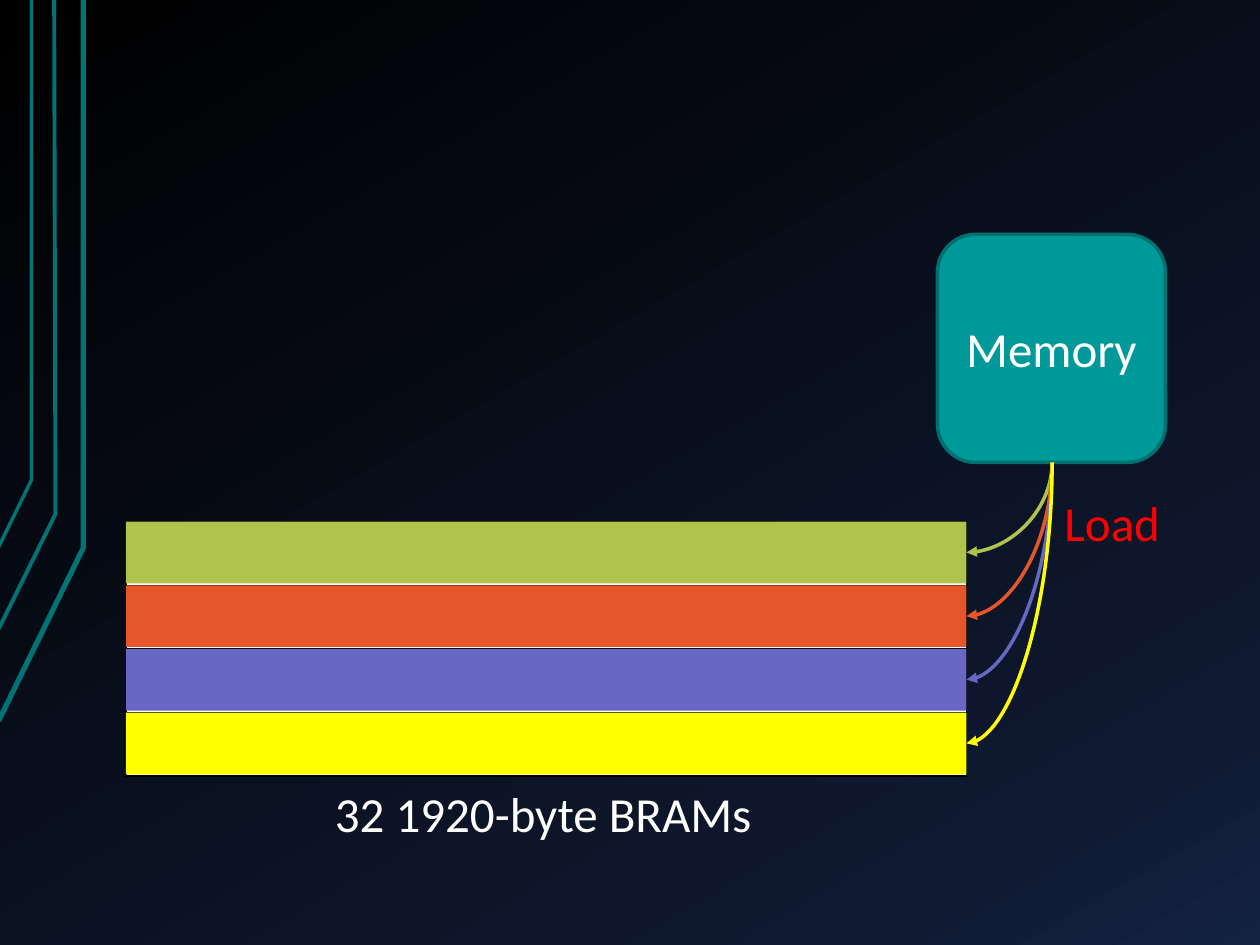
from copy import deepcopy
from pptx import Presentation
from pptx.dml.color import RGBColor
from pptx.enum.shapes import MSO_CONNECTOR, MSO_SHAPE
from pptx.enum.text import MSO_ANCHOR, MSO_AUTO_SIZE, PP_ALIGN
from pptx.oxml.ns import qn
from pptx.util import Inches, Pt
from lxml.etree import SubElement


def hue(code):
    return RGBColor.from_string(code)


def write(frame, text, code, align):
    frame.word_wrap = False
    frame.vertical_anchor = MSO_ANCHOR.MIDDLE
    line = frame.paragraphs[0]
    line.alignment = align
    run = line.add_run()
    run.text = text
    run.font.name = "Calibri"
    run.font.size = Pt(28)
    run.font.color.rgb = hue(code)


deck = Presentation()
deck.slide_width = Inches(10)
deck.slide_height = Inches(7.5)
slide = deck.slides.add_slide(deck.slide_layouts[6])
shapes = slide.shapes
col = deck.slide_width / 100
row = deck.slide_height / 75

fill = slide.background.fill
fill.gradient()
fill.gradient_angle = 300
stops = slide.element.find(".//" + qn("a:gsLst"))
stops.append(deepcopy(stops[0]))
for stop, (place, code) in zip(fill.gradient_stops, [(0, "000000"), (0.85, "0F1931"), (1, "142242")]):
    stop.position = place
    stop.color.rgb = hue(code)

for foot, bend, side, top, width in [
    (57.2, 43.5, 6.6, 6.6, 3),
    (49.9, 40.8, 4.4, 4.3, 2.25),
    (43.4, 38.1, 2.5, 2.5, 2),
]:
    pen = shapes.build_freeform(round(-0.1 * col), round(foot * row))
    pen.add_line_segments([(round(side * col), round(bend * row)), (round(top * col), 0)], close=False)
    trace = pen.convert_to_shape()
    trace.shadow.inherit = False
    trace.fill.background()
    trace.line.color.rgb = hue("007373")
    trace.line.width = Pt(width)

colors = ["AFC34D", "E5572B", "6868C4", "FFFF00"]
left, head, wide, step, tall = 10, 41.4, 66.7, 5.05, 4.9

table = shapes.add_table(
    4, 1, round(left * col), round(head * row), round(wide * col), round(4 * step * row)
).table
table.first_row = False
table.horz_banding = False
for index in range(4):
    cell = table.cell(index, 0)
    cell.fill.solid()
    cell.fill.fore_color.rgb = hue("FFFFFF")
    props = cell._tc.get_or_add_tcPr()
    for spot, edge in enumerate(["a:lnL", "a:lnR", "a:lnT", "a:lnB"]):
        rule = SubElement(props, qn(edge), w=str(Pt(1)))
        SubElement(SubElement(rule, qn("a:solidFill")), qn("a:srgbClr"), val="000000")
        props.insert(spot, rule)

box = shapes.add_shape(
    MSO_SHAPE.ROUNDED_RECTANGLE, round(74.4 * col), round(18.6 * row), round(18.1 * col), round(18.1 * row)
)
box.shadow.inherit = False
box.fill.solid()
box.fill.fore_color.rgb = hue("009999")
box.line.color.rgb = hue("007171")
box.line.width = Pt(2)
write(box.text_frame, "Memory", "FFFFFF", PP_ALIGN.CENTER)

for index, code in enumerate(colors):
    bar = shapes.add_shape(
        MSO_SHAPE.RECTANGLE, round(left * col), round((head + index * step) * row),
        round(wide * col), round(tall * row)
    )
    bar.shadow.inherit = False
    bar.fill.solid()
    bar.fill.fore_color.rgb = hue(code)
    bar.line.fill.background()

start, base, end = 83.5, 36.7, left + wide
for index, code in enumerate(colors):
    goal = head + index * step + tall / 2
    drop, run = goal - base, start - end
    mid, level = (start + end) / 2, (base + goal) / 2
    link = shapes.add_connector(
        MSO_CONNECTOR.CURVE,
        round((mid - drop / 2) * col), round((level - run / 2) * row),
        round((mid + drop / 2) * col), round((level + run / 2) * row),
    )
    link.line.color.rgb = hue(code)
    link.line.width = Pt(2)
    props = link._element.spPr
    props.find(qn("a:xfrm")).set("rot", "5400000")
    props.find(qn("a:prstGeom")).set("prst", "curvedConnector2")
    SubElement(props.find(qn("a:ln")), qn("a:tailEnd"), type="triangle")
    SubElement(props, qn("a:effectLst"))

for text, code, x, y, width in [
    ("32 1920-byte BRAMs", "FFFFFF", 25.6, 61.7, 35.5),
    ("Load", "FF0000", 83.5, 38.6, 9.7),
]:
    label = shapes.add_textbox(round(x * col), round(y * row), round(width * col), round(5.7 * row))
    write(label.text_frame, text, code, PP_ALIGN.LEFT)
    label.text_frame.vertical_anchor = MSO_ANCHOR.TOP
    label.text_frame.auto_size = MSO_AUTO_SIZE.SHAPE_TO_FIT_TEXT

deck.save("out.pptx")
